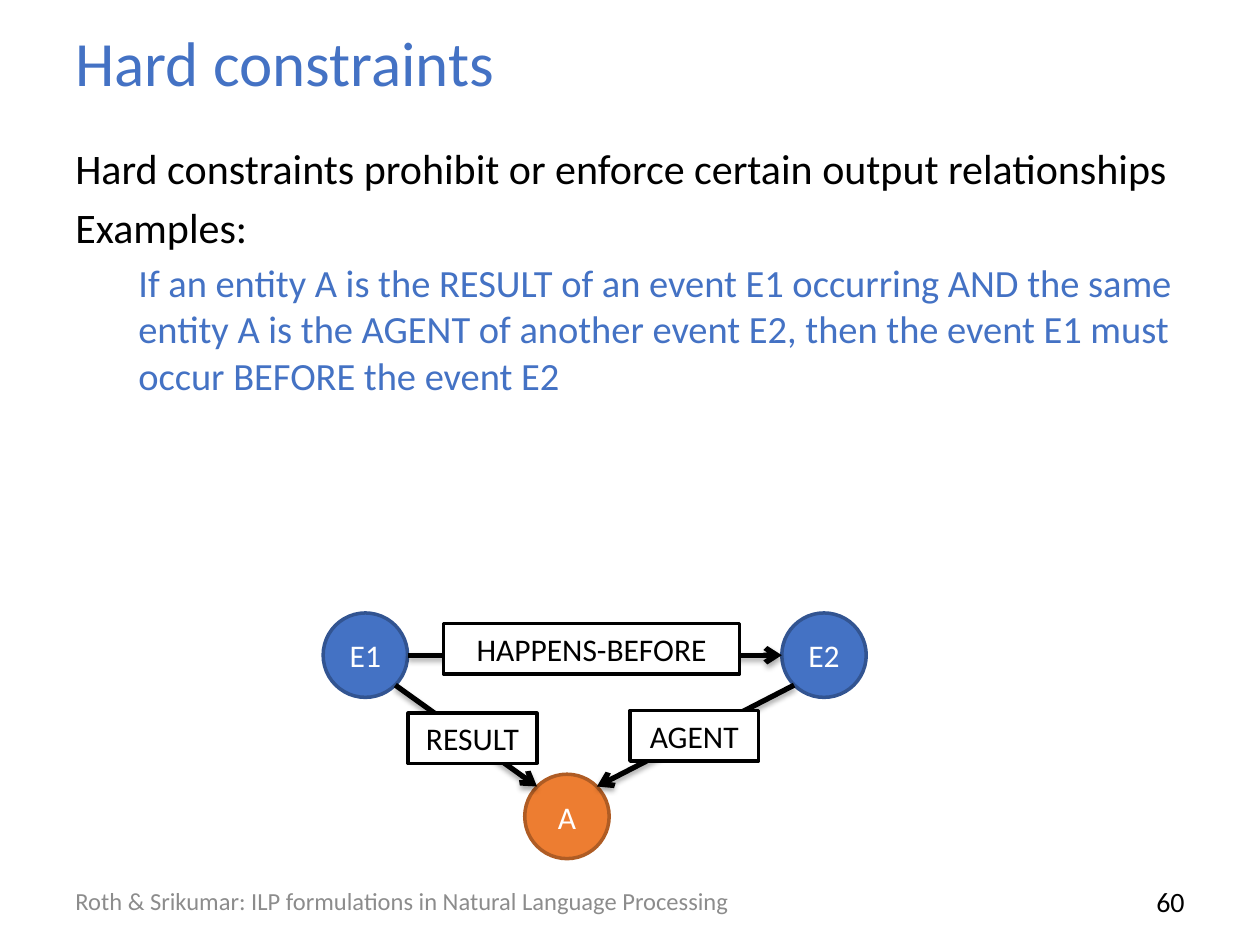
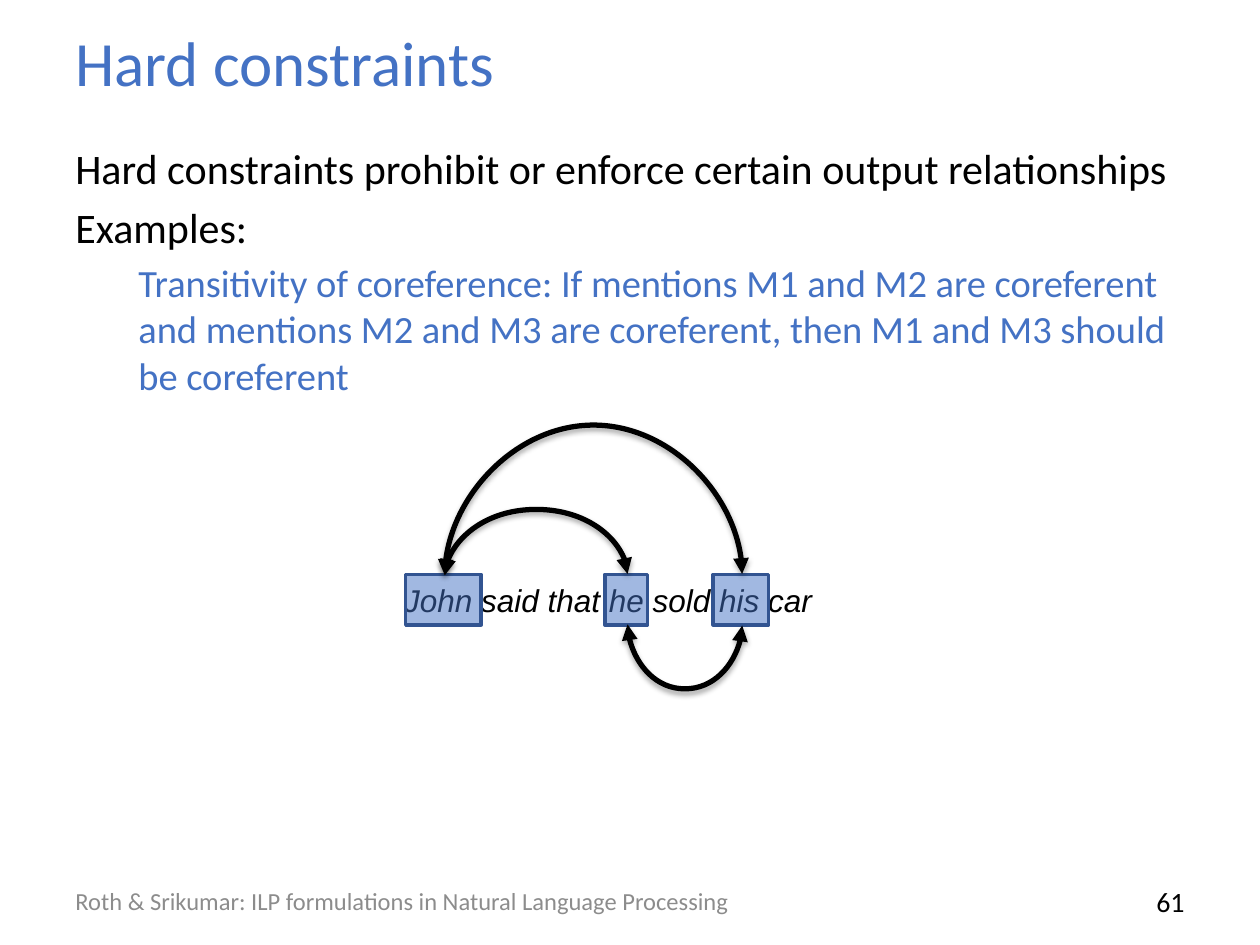
"""Build two slides on hard constraints: an event graph and a coreference example."""
import lxml.etree
import pptx
import pptx.dml.color
import pptx.enum.shapes
import pptx.enum.text
import pptx.oxml
import pptx.oxml.ns
import pptx.util

Inches = pptx.util.Inches
Pt = pptx.util.Pt
RGB = pptx.dml.color.RGBColor.from_string
qn = pptx.oxml.ns.qn
ALIGN = pptx.enum.text.PP_ALIGN
ANCHOR = pptx.enum.text.MSO_ANCHOR
SHAPE = pptx.enum.shapes.MSO_SHAPE
CONNECTOR = pptx.enum.shapes.MSO_CONNECTOR

COLORS = {
    "blue": "4472C4",
    "blue_edge": "325491",
    "orange": "ED7D31",
    "orange_edge": "AF5C24",
    "black": "000000",
    "white": "FFFFFF",
    "grey": "8C8C8C",
}
SHADOW = (
    f'<a:effectLst {pptx.oxml.ns.nsdecls("a")}>'
    '<a:outerShdw blurRad="40000" dist="23000" dir="5400000" rotWithShape="0">'
    '<a:srgbClr val="000000"><a:alpha val="35000"/></a:srgbClr>'
    '</a:outerShdw></a:effectLst>'
)


def write(para, text, size, color, font="Calibri", italic=False):
    span = para.add_run()
    span.text = text
    span.font.size = Pt(size)
    span.font.name = font
    span.font.italic = italic
    span.font.color.rgb = RGB(COLORS[color])


def style_line(connector, **arrowheads):
    connector.line.color.rgb = RGB(COLORS["black"])
    connector.line.width = Pt(3)
    outline = connector.line._get_or_add_ln()
    for end, kind in arrowheads.items():
        lxml.etree.SubElement(outline, qn(f"a:{end}")).set("type", kind)
    connector._element.spPr.append(pptx.oxml.parse_xml(SHADOW))


deck = pptx.Presentation()
deck.slide_width = Inches(10)
deck.slide_height = Inches(7.5)

examples = [
    (60, "If an entity A is the RESULT of an event E1 occurring AND the same entity A is "
         "the AGENT of another event E2, then the event E1 must occur BEFORE the event E2"),
    (61, "Transitivity of coreference: If mentions M1 and M2 are coreferent and mentions "
         "M2 and M3 are coreferent, then M1 and M3 should be coreferent"),
]
for number, example in examples:
    page = deck.slides.add_slide(deck.slide_layouts[6])
    frame_texts = [
        ((0.5, 0.15, 9, 0.68), "Hard constraints", 36, "blue", ALIGN.LEFT),
        ((7.17, 6.95, 2.33, 0.4), str(number), 16, "black", ALIGN.RIGHT),
        ((0.5, 6.95, 6.08, 0.4),
         "Roth & Srikumar: ILP formulations in Natural Language Processing",
         14, "grey", ALIGN.LEFT),
    ]
    for place, text, size, color, alignment in frame_texts:
        box = page.shapes.add_textbox(*map(Inches, place))
        box.text_frame.word_wrap = True
        box.text_frame.vertical_anchor = ANCHOR.MIDDLE
        para = box.text_frame.paragraphs[0]
        para.alignment = alignment
        write(para, text, size, color)

    body = page.shapes.add_textbox(Inches(0.5), Inches(1.08), Inches(9), Inches(5.62)).text_frame
    body.word_wrap = True
    body_texts = [
        ("Hard constraints prohibit or enforce certain output relationships", 24, "black"),
        ("Examples:", 24, "black"),
        (example, 22, "blue"),
    ]
    for index, (text, size, color) in enumerate(body_texts):
        para = body.add_paragraph() if index else body.paragraphs[0]
        para.space_before = Pt(0.2 * size)
        write(para, text, size, color)
    para.level = 1
    para._p.get_or_add_pPr().set("marL", str(Inches(0.5)))

graph_page, coreference_page = deck.slides

radius = 0.335
diagonal = 0.71 * radius
nodes = {
    "E1": (2.9, 5.2, "blue"),
    "E2": (6.54, 5.2, "blue"),
    "A": (4.5, 6.48, "orange"),
}
for name, (x, y, color) in nodes.items():
    node = graph_page.shapes.add_shape(
        SHAPE.OVAL, Inches(x - radius), Inches(y - radius), Inches(2 * radius), Inches(2 * radius))
    node.shadow.inherit = False
    node.fill.solid()
    node.fill.fore_color.rgb = RGB(COLORS[color])
    node.line.color.rgb = RGB(COLORS[color + "_edge"])
    node.line.width = Pt(2)
    node.text_frame.word_wrap = False
    node.text_frame.vertical_anchor = ANCHOR.MIDDLE
    para = node.text_frame.paragraphs[0]
    para.alignment = ALIGN.CENTER
    write(para, name, 18, "white")

relations = [
    ("AGENT", "E2", "A", (-diagonal, diagonal), (5, 5.64, 1.02)),
    ("RESULT", "E1", "A", (diagonal, diagonal), (3.24, 5.66, 1.02)),
    ("HAPPENS-BEFORE", "E1", "E2", (radius, 0), (3.52, 4.95, 2.35)),
]
for name, source, target, (dx, dy), (left, top, width) in relations:
    start_x, start_y, _ = nodes[source]
    end_x, end_y, _ = nodes[target]
    arrow = graph_page.shapes.add_connector(
        CONNECTOR.STRAIGHT, Inches(start_x + dx), Inches(start_y + dy),
        Inches(end_x - dx), Inches(end_y - dy))
    style_line(arrow, tailEnd="arrow")
    label = graph_page.shapes.add_shape(
        SHAPE.RECTANGLE, Inches(left), Inches(top), Inches(width), Inches(0.4))
    label.shadow.inherit = False
    label.fill.solid()
    label.fill.fore_color.rgb = RGB(COLORS["white"])
    label.line.color.rgb = RGB(COLORS["black"])
    label.line.width = Pt(2)
    label.text_frame.word_wrap = True
    label.text_frame.vertical_anchor = ANCHOR.TOP
    para = label.text_frame.paragraphs[0]
    para.alignment = ALIGN.CENTER
    write(para, name, 18, "black")

sentence = coreference_page.shapes.add_textbox(Inches(3.11), Inches(4.56), Inches(3.47), Inches(0.4))
sentence.text_frame.word_wrap = False
write(sentence.text_frame.paragraphs[0], "John said that he sold his car", 18, "black", "Arial", True)

for left, width in [(3.22, 0.6), (5.66, 0.44), (4.8, 0.34)]:
    mention = coreference_page.shapes.add_shape(
        SHAPE.RECTANGLE, Inches(left), Inches(4.56), Inches(width), Inches(0.4))
    mention.shadow.inherit = False
    mention.fill.solid()
    mention.fill.fore_color.rgb = RGB(COLORS["blue"])
    tint = mention._element.spPr.find(qn("a:solidFill"))[0]
    lxml.etree.SubElement(tint, qn("a:alpha")).set("val", "50000")
    mention.line.color.rgb = RGB(COLORS["blue_edge"])
    mention.line.width = Pt(2)

john, he, his = 3.53, 4.98, 5.89
depth = 0.01
links = [
    (john, he, 4.56, 0.53, 90, 1),
    (he, his, 4.96, 0.52, 270, -1),
    (john, his, 4.56, 1.21, 90, 1),
]
for first, second, y, bulge, turn, side in links:
    middle = (first + second) / 2
    half_span = (second - first) / 2
    arc = coreference_page.shapes.add_connector(
        CONNECTOR.CURVE, Inches(middle + depth / 2), Inches(y + side * half_span),
        Inches(middle - depth / 2), Inches(y - side * half_span))
    properties = arc._element.spPr
    properties.find(qn("a:xfrm")).set("rot", str(turn * 60000))
    guides = properties.find(qn("a:prstGeom")).find(qn("a:avLst"))
    guide = lxml.etree.SubElement(guides, qn("a:gd"))
    guide.set("name", "adj1")
    guide.set("fmla", f"val {round(bulge / depth * 100000)}")
    style_line(arc, headEnd="triangle", tailEnd="triangle")

deck.save("out.pptx")
